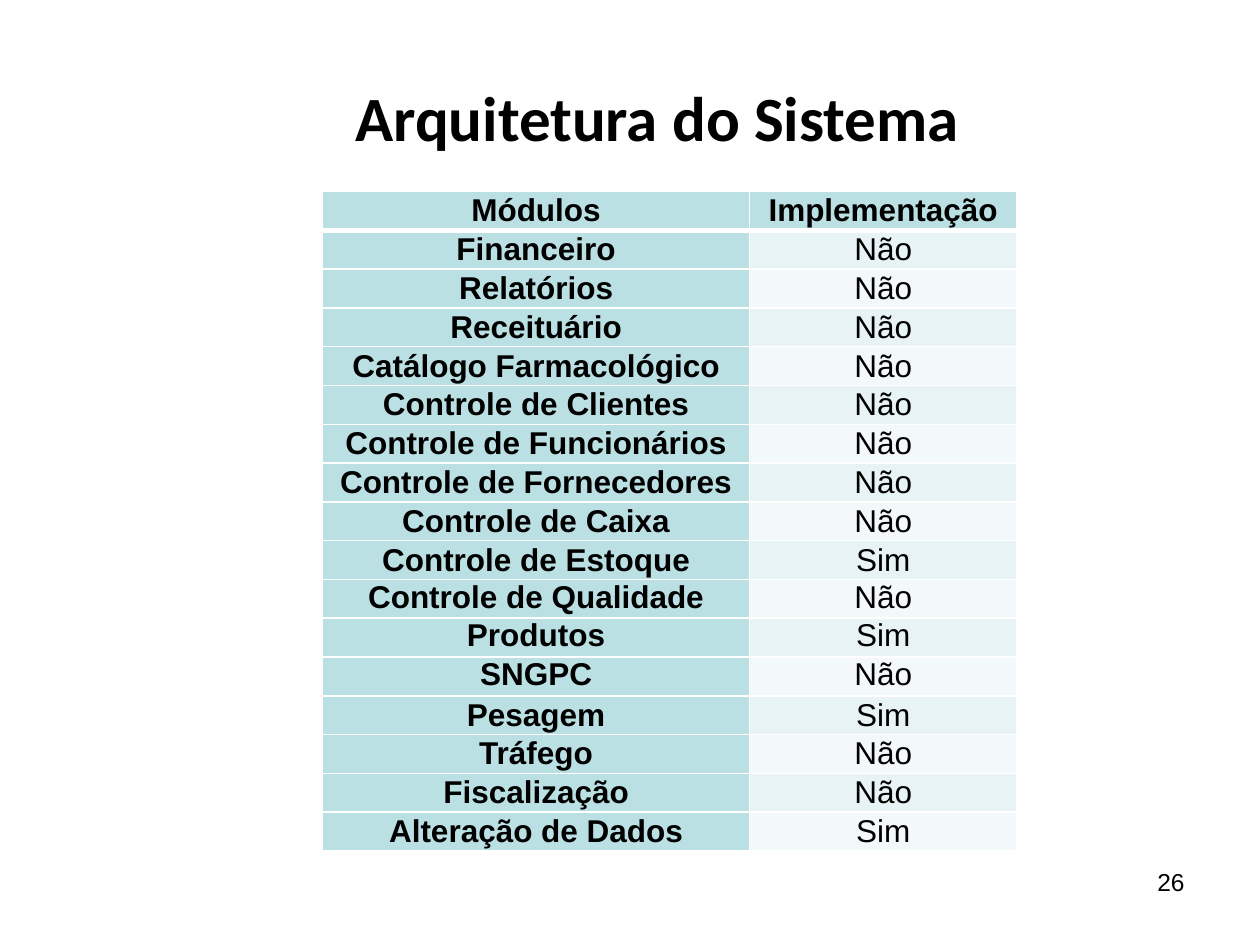
from lxml import etree
from pptx import Presentation
from pptx.dml.color import RGBColor
from pptx.enum import text
from pptx.oxml import ns
from pptx.util import Inches, Pt

COLORS = {
    "text": "000000",
    "border": "FFFFFF",
    "module": "BBE0E3",
    "odd": "E7F3F4",
    "even": "F3F9FA",
}
ROWS = [
    ("Módulos", "Implementação"),
    ("Financeiro", "Não"),
    ("Relatórios", "Não"),
    ("Receituário", "Não"),
    ("Catálogo Farmacológico", "Não"),
    ("Controle de Clientes", "Não"),
    ("Controle de Funcionários", "Não"),
    ("Controle de Fornecedores", "Não"),
    ("Controle de Caixa", "Não"),
    ("Controle de Estoque", "Sim"),
    ("Controle de Qualidade", "Não"),
    ("Produtos", "Sim"),
    ("SNGPC", "Não"),
    ("Pesagem", "Sim"),
    ("Tráfego", "Não"),
    ("Fiscalização", "Não"),
    ("Alteração de Dados", "Sim"),
]
TOP_ANCHORED = {"Controle de Qualidade", "Produtos", "SNGPC"}


def write(frame, content, size, align, font="Arial", bold=False):
    frame.text = content
    paragraph = frame.paragraphs[0]
    paragraph.alignment = align
    paragraph.font.name = font
    paragraph.font.size = Pt(size)
    paragraph.font.bold = bold
    paragraph.font.color.rgb = RGBColor.from_string(COLORS["text"])


def add_borders(cell, top, bottom):
    """Draw the four cell borders; call before setting the cell's fill."""
    properties = cell._tc.get_or_add_tcPr()
    for side, width in (("L", 1), ("R", 1), ("T", top), ("B", bottom)):
        line = etree.SubElement(properties, ns.qn(f"a:ln{side}"), w=str(Pt(width)))
        fill = etree.SubElement(line, ns.qn("a:solidFill"))
        etree.SubElement(fill, ns.qn("a:srgbClr"), val=COLORS["border"])


presentation = Presentation()
presentation.slide_width = Inches(10)
presentation.slide_height = Inches(7.5)
slide = presentation.slides.add_slide(presentation.slide_layouts[5])

title = slide.shapes.title
title.left, title.top = Inches(2.72), Inches(0.3)
title.width, title.height = Inches(6.78), Inches(1.25)
title.text_frame.vertical_anchor = text.MSO_ANCHOR.MIDDLE
title.text_frame.auto_size = text.MSO_AUTO_SIZE.NONE
write(title.text_frame, "Arquitetura do Sistema", 36, text.PP_ALIGN.LEFT, "Calibri", True)

number = slide.shapes.add_textbox(Inches(7.17), Inches(6.83), Inches(2.33), Inches(0.52))
number.text_frame.word_wrap = True
write(number.text_frame, "26", 14, text.PP_ALIGN.RIGHT)

table = slide.shapes.add_table(
    len(ROWS), 2, Inches(2.56), Inches(1.52), Inches(5.51), Inches(5.24)
).table
table.columns[0].width = Inches(3.39)
table.columns[1].width = Inches(2.12)

for row, values in enumerate(ROWS):
    at_top = values[0] in TOP_ANCHORED
    for column, value in enumerate(values):
        cell = table.cell(row, column)
        heading = row == 0 or column == 0
        cell.margin_left = cell.margin_right = Inches(0 if at_top else 0.04)
        cell.margin_top = cell.margin_bottom = 0
        cell.vertical_anchor = text.MSO_ANCHOR.TOP if at_top else text.MSO_ANCHOR.MIDDLE
        write(cell.text_frame, value, 18, text.PP_ALIGN.CENTER, bold=heading)
        add_borders(cell, top=3 if row == 1 else 1, bottom=3 if row == 0 else 1)
        shade = "module" if heading else "odd" if row % 2 else "even"
        cell.fill.solid()
        cell.fill.fore_color.rgb = RGBColor.from_string(COLORS[shade])

presentation.save("out.pptx")
